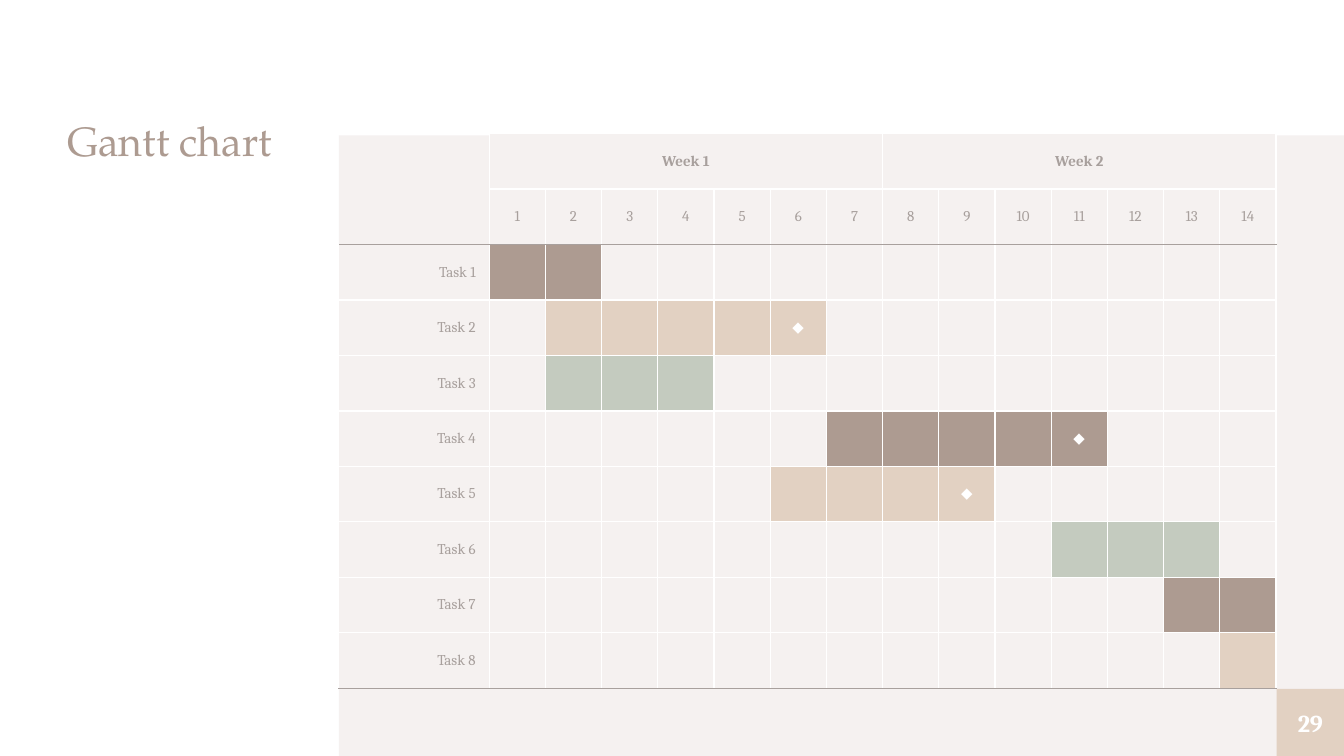
import pptx
import pptx.util
import pptx.dml.color
import pptx.enum.shapes
import pptx.enum.text
import pptx.oxml
import pptx.oxml.ns

Pt = pptx.util.Pt
ALIGN = pptx.enum.text.PP_ALIGN
ANCHOR = pptx.enum.text.MSO_ANCHOR
WHITE, PANEL, GREY = "FFFFFF", "F5F1F0", "A8A09D"
BROWN, SAND, SAGE = "AD9B91", "E2D1C2", "C4CBBF"
DAYS_PER_WEEK = 7
WEEKS = 2
HEADER_ROWS = 2
TASKS = [
    {"days": (1, 2), "color": BROWN},
    {"days": (2, 6), "color": SAND, "milestone": 6},
    {"days": (2, 4), "color": SAGE},
    {"days": (7, 11), "color": BROWN, "milestone": 11},
    {"days": (6, 9), "color": SAND, "milestone": 9},
    {"days": (11, 13), "color": SAGE},
    {"days": (13, 14), "color": BROWN},
    {"days": (14, 14), "color": SAND},
]


def rgb(color):
    """Return the colour object for a hex string."""
    return pptx.dml.color.RGBColor.from_string(color)


def write(frame, text, color, align, **font):
    """Put one formatted paragraph into a text frame."""
    para = frame.paragraphs[0]
    para.alignment = align
    span = para.add_run()
    span.text = text
    span.font.color.rgb = rgb(color)
    for name, value in ({"name": "Cambria", "size": Pt(8)} | font).items():
        setattr(span.font, name, value)
    return para


def set_frame(frame, anchor):
    """Remove the margins of a text frame and set how it fits its text."""
    values = {"word_wrap": True, "vertical_anchor": anchor,
              "auto_size": pptx.enum.text.MSO_AUTO_SIZE.NONE}
    values |= {f"margin_{side}": 0 for side in ("left", "top", "right", "bottom")}
    for name, value in values.items():
        setattr(frame, name, value)


def set_borders(cell, colors):
    """Draw the left, right, top and bottom borders, None meaning no line."""
    properties = cell._tc.get_or_add_tcPr()
    for index, (side, color) in enumerate(zip("LRTB", colors)):
        paint = (f'<a:solidFill><a:srgbClr val="{color}"/></a:solidFill>'
                 if color else "<a:noFill/>")
        properties.insert(index, pptx.oxml.parse_xml(
            f'<a:ln{side} {pptx.oxml.ns.nsdecls("a")} w="{Pt(0.75)}">{paint}</a:ln{side}>'))


def add_block(page, box, color):
    """Add a plain filled rectangle."""
    block = page.shapes.add_shape(
        pptx.enum.shapes.MSO_SHAPE.RECTANGLE, *map(Pt, box))
    block.shadow.inherit = False
    block.fill.solid()
    block.fill.fore_color.rgb = rgb(color)
    block.line.fill.background()
    return block


def add_title(page, box, text):
    """Place and format the title placeholder."""
    title = page.shapes.title
    for name, value in zip(("left", "top", "width", "height"), box):
        setattr(title, name, Pt(value))
    set_frame(title.text_frame, ANCHOR.TOP)
    para = write(title.text_frame, text, BROWN, ALIGN.LEFT,
                 name="TeX Gyre Pagella", size=Pt(22))
    para.line_spacing = 0.9


def add_page_number(page, box, text):
    """Add the page number on its coloured square."""
    square = add_block(page, box, SAND)
    set_frame(square.text_frame, ANCHOR.MIDDLE)
    write(square.text_frame, text, WHITE, ALIGN.CENTER, size=Pt(13), bold=True)


def format_grid(table, row_count, column_count):
    """Fill every cell and draw the grid with grey rules around the tasks."""
    for row in range(row_count):
        for column in range(column_count):
            cell = table.cell(row, column)
            cell.vertical_anchor = ANCHOR.MIDDLE
            cell.fill.solid()
            cell.fill.fore_color.rgb = rgb(PANEL)
            corner = row < HEADER_ROWS and column == 0
            plain = None if corner else WHITE
            top = GREY if row == HEADER_ROWS else plain
            bottom = GREY if row in (HEADER_ROWS - 1, row_count - 1) else plain
            set_borders(cell, (plain, WHITE, top, bottom))
            if corner:
                cell.fill.background()


def add_gantt(page, box, label_width):
    """Add the schedule table with week and day headings and task bars."""
    left, top, width, height = box
    day_count = WEEKS * DAYS_PER_WEEK
    row_count, column_count = HEADER_ROWS + len(TASKS), 1 + day_count
    table = page.shapes.add_table(row_count, column_count, *map(Pt, box)).table
    table.first_row = table.horz_banding = False
    for row in table.rows:
        row.height = Pt(height / row_count)
    for index, column in enumerate(table.columns):
        column.width = Pt((width - label_width) / day_count if index else label_width)
    format_grid(table, row_count, column_count)

    for week in range(WEEKS):
        first = 1 + week * DAYS_PER_WEEK
        heading = table.cell(0, first)
        heading.merge(table.cell(0, first + DAYS_PER_WEEK - 1))
        write(heading.text_frame, f"Week {week + 1}", GREY, ALIGN.CENTER, bold=True)
    for day in range(1, day_count + 1):
        write(table.cell(1, day).text_frame, str(day), GREY, ALIGN.CENTER)
    for number, task in enumerate(TASKS, 1):
        row = HEADER_ROWS + number - 1
        write(table.cell(row, 0).text_frame, f"Task {number}", GREY, ALIGN.RIGHT)
        start, end = task["days"]
        for day in range(start, end + 1):
            table.cell(row, day).fill.fore_color.rgb = rgb(task["color"])
        if "milestone" in task:
            write(table.cell(row, task["milestone"]).text_frame, "◆", WHITE, ALIGN.CENTER)


def main():
    """Build the one-page deck."""
    deck = pptx.Presentation()
    deck.slide_width, deck.slide_height = Pt(720), Pt(405)
    page = deck.slides.add_slide(deck.slide_layouts[5])
    add_block(page, (181.5, 72.5, 538.5, 332.5), PANEL)
    add_title(page, (36, 65, 128, 304.5), "Gantt chart")
    add_page_number(page, (684, 369, 36, 36), "29")
    add_gantt(page, (181.5, 71.6, 502.3, 297.2), 80.6)
    deck.save("out.pptx")


if __name__ == "__main__":
    main()
